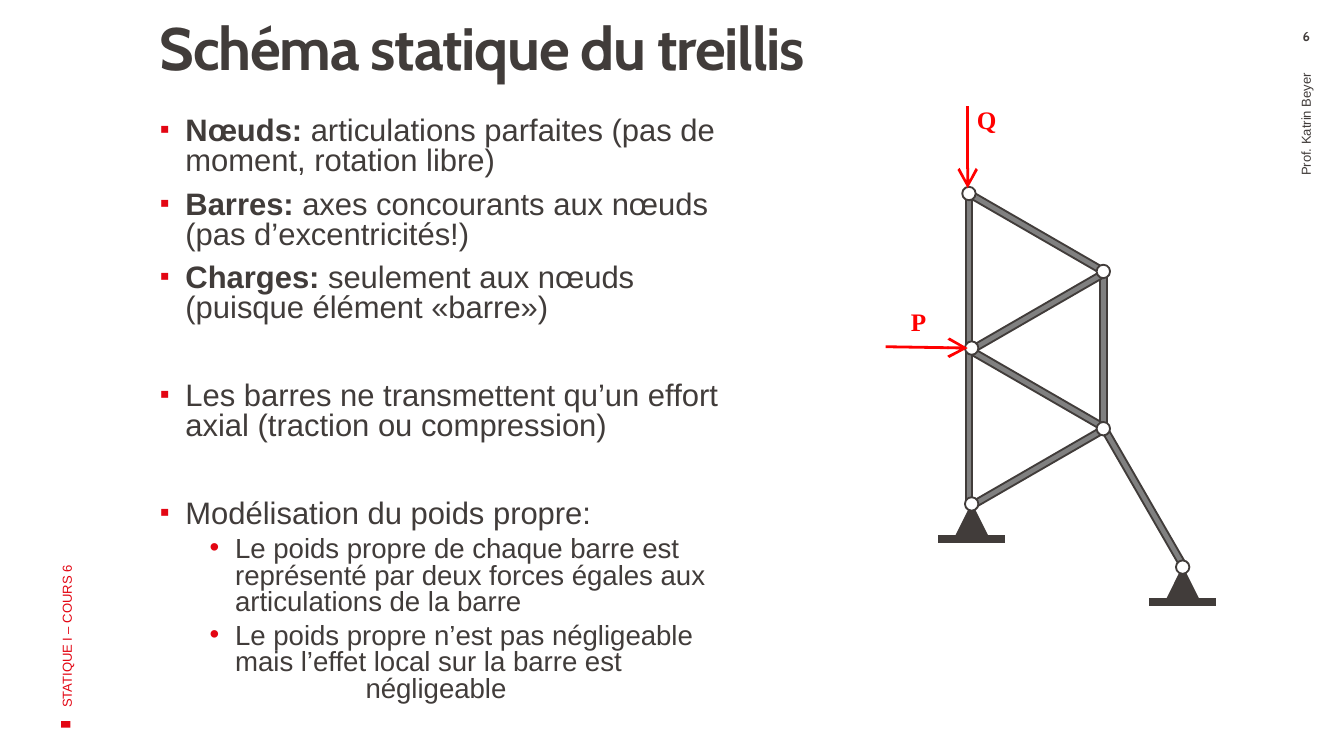
from dataclasses import dataclass

from lxml.etree import SubElement
from pptx import Presentation
from pptx.dml.color import RGBColor as RGB
from pptx.enum.shapes import MSO_CONNECTOR as Link, MSO_SHAPE as Kind
from pptx.enum.text import MSO_ANCHOR as Anchor, MSO_AUTO_SIZE as Fit, PP_ALIGN as Align
from pptx.oxml.ns import qn
from pptx.util import Inches, Pt


@dataclass(frozen=True)
class Theme:
    dark: RGB = RGB(0x41, 0x3C, 0x3A)
    grey: RGB = RGB(0x80, 0x80, 0x80)
    white: RGB = RGB(0xFF, 0xFF, 0xFF)
    brand: RGB = RGB(0xE3, 0x06, 0x13)
    force: RGB = RGB(0xFF, 0x00, 0x00)
    head: str = "Cabin"
    text: str = "Arial"
    serif: str = "Times New Roman"
    title: float = 32
    body: float = 16.6
    sub: float = 14.8
    label: float = 13.5
    small: float = 7


T = Theme()

POINTS = [
    ("Nœuds: ", "articulations parfaites (pas de moment, rotation libre)", 0),
    ("Barres: ", "axes concourants aux nœuds (pas d’excentricités!)", 7.5),
    ("Charges: ", "seulement aux nœuds (puisque élément «barre»)", 7.5),
    ("", "Les barres ne transmettent qu’un effort axial (traction ou compression)", 31.2),
    ("", "Modélisation du poids propre:", 31.2),
]
DETAILS = [
    "Le poids propre de chaque barre est représenté par deux forces égales "
    "aux articulations de la barre",
    "Le poids propre n’est pas négligeable mais l’effet local sur la barre est",
]
BARS = [
    (8.51, 3.7, 60, 1.12), (8.21, 2.6, 90, 1.14), (7.21, 2.01, 90, 1.14),
    (7.71, 1.73, 30, 1.14), (7.72, 2.32, 330, 1.14), (7.71, 2.89, 30, 1.14),
    (7.72, 3.48, 330, 1.14), (7.21, 3.19, 90, 1.14),
]
BASES = [(8.8, 4.21), (7.23, 3.74)]
NODES = [(8.8, 4.22), (7.23, 3.75), (7.23, 2.59), (7.21, 1.44), (8.21, 2.02), (8.21, 3.19)]


def style(para, font, size, color, bold=False):
    para.font.name = font
    para.font.size = Pt(size)
    para.font.color.rgb = color
    para.font.bold = bold


def inset(frame, left, top, right, bottom):
    frame.margin_left, frame.margin_top = Inches(left), Inches(top)
    frame.margin_right, frame.margin_bottom = Inches(right), Inches(bottom)


def add_text(slide, box, text, font, size, color, bold=False, align=Align.LEFT,
             turn=0, wrap=True):
    shape = slide.shapes.add_textbox(*map(Inches, box))
    shape.rotation = turn
    frame = shape.text_frame
    frame.word_wrap = wrap
    frame.auto_size = Fit.NONE if wrap else Fit.SHAPE_TO_FIT_TEXT
    if turn:
        frame.vertical_anchor = Anchor.MIDDLE
    para = frame.paragraphs[0]
    para.text = text
    para.alignment = align
    style(para, font, size, color, bold)
    return frame


def add_shape(slide, kind, mid, size, fill, line=None, turn=0):
    (x, y), (w, h) = mid, size
    shape = slide.shapes.add_shape(
        kind, Inches(x - w / 2), Inches(y - h / 2), Inches(w), Inches(h))
    shape.rotation = turn
    shape.shadow.inherit = False
    shape.fill.solid()
    shape.fill.fore_color.rgb = fill
    if line is None:
        shape.line.fill.background()
    else:
        shape.line.color.rgb = line
        shape.line.width = Pt(1)


def add_line(slide, start, end, color, width, arrow=False):
    line = slide.shapes.add_connector(Link.STRAIGHT, *map(Inches, (*start, *end)))
    line.line.color.rgb = color
    line.line.width = Pt(width)
    if arrow:
        SubElement(line.line._get_or_add_ln(), qn("a:tailEnd"),
                   type="arrow", w="lg", len="lg")
    SubElement(line._element.spPr, qn("a:effectLst"))


def add_bullet(para, char, scale):
    props = para._p.get_or_add_pPr()
    tint = SubElement(props, qn("a:buClr"))
    SubElement(tint, qn("a:srgbClr"), val=str(T.brand))
    SubElement(props, qn("a:buSzPct"), val=str(scale * 1000))
    SubElement(props, qn("a:buFont"), typeface=T.text)
    SubElement(props, qn("a:buChar"), char=char)


def add_para(frame, parts, size, left, before, char=None, scale=100):
    first = frame.paragraphs[0]
    para = frame.add_paragraph() if first.runs else first
    props = para._p.get_or_add_pPr()
    props.set("marL", str(Inches(left)))
    props.set("indent", str(Inches(-0.19 if char else 0)))
    if char:
        add_bullet(para, char, scale)
    para.line_spacing = 0.8
    para.space_before = Pt(before)
    style(para, T.text, size, T.dark)
    for text, bold in parts:
        if text:
            run = para.add_run()
            run.text = text
            if bold:
                run.font.bold = True


def add_title(slide, text):
    title = slide.shapes.title
    title.left, title.top = Inches(0.99), Inches(0.14)
    title.width, title.height = Inches(7.67), Inches(1.17)
    frame = title.text_frame
    frame.auto_size = Fit.NONE
    frame.vertical_anchor = Anchor.TOP
    inset(frame, 0.2, 0, 0.08, 0.05)
    para = frame.paragraphs[0]
    para.text = text
    para.alignment = Align.LEFT
    para.line_spacing = 0.9
    style(para, T.head, T.title, T.dark, True)
    para.runs[0]._r.get_or_add_rPr().set("spc", "-70")


def add_body(slide):
    box = slide.shapes.add_textbox(*map(Inches, (0.99, 0.83, 4.74, 4.59)))
    frame = box.text_frame
    frame.word_wrap = True
    inset(frame, 0.2, 0.05, 0.1, 0.05)
    for lead, rest, before in POINTS:
        add_para(frame, [(lead, True), (rest, False)], T.body, 0.19, before, "▪", 90)
    for text in DETAILS:
        add_para(frame, [(text, False)], T.sub, 0.56, 3.8, "•")
    add_para(frame, [("négligeable", False)], T.sub, 1.53, 0)


def add_margin(slide):
    add_shape(slide, Kind.RECTANGLE, (0.49, 5.39), (0.05, 0.07), T.brand, turn=270)
    add_text(slide, (-1.33, 3.04, 3.65, 1), "STATIQUE I – COURS 6",
             T.text, T.small, T.brand, turn=270)
    name = add_text(slide, (7.78, 2.05, 3.87, 0.56), "Prof. Katrin Beyer",
                    T.text, T.small, T.dark, align=Align.RIGHT, turn=270)
    name.margin_right = Inches(0.15)
    page = add_text(slide, (9.44, 0.21, 0.56, 0.18), "6",
                    T.head, T.small, T.dark, True, Align.CENTER)
    inset(page, 0.1, 0, 0.1, 0)


def add_force(slide, start, end, box, name):
    add_line(slide, start, end, T.force, 1.5, True)
    add_text(slide, box, name, T.serif, T.label, T.force, True, wrap=False)


def add_truss(slide):
    for x, y, turn, span in BARS:
        add_shape(slide, Kind.RECTANGLE, (x, y), (span, 0.05), T.grey, T.dark, turn)
    for x, y in BASES:
        add_shape(slide, Kind.ISOSCELES_TRIANGLE, (x, y + 0.125), (0.25, 0.25), T.dark)
        add_line(slide, (x - 0.25, y + 0.27), (x + 0.25, y + 0.27), T.dark, 4)
    for node in NODES:
        add_shape(slide, Kind.OVAL, node, (0.1, 0.1), T.white, T.dark)
    add_force(slide, (7.2, 0.79), (7.2, 1.4), (7.17, 0.73, 0.32, 0.32), "Q")
    add_force(slide, (6.59, 2.58), (7.2, 2.59), (6.68, 2.23, 0.36, 0.4), "P")


def main():
    deck = Presentation()
    deck.slide_width = Inches(10)
    deck.slide_height = deck.slide_width * 9 // 16
    slide = deck.slides.add_slide(deck.slide_layouts[5])
    add_title(slide, "Schéma statique du treillis")
    add_body(slide)
    add_margin(slide)
    add_truss(slide)
    deck.save("out.pptx")


if __name__ == "__main__":
    main()
